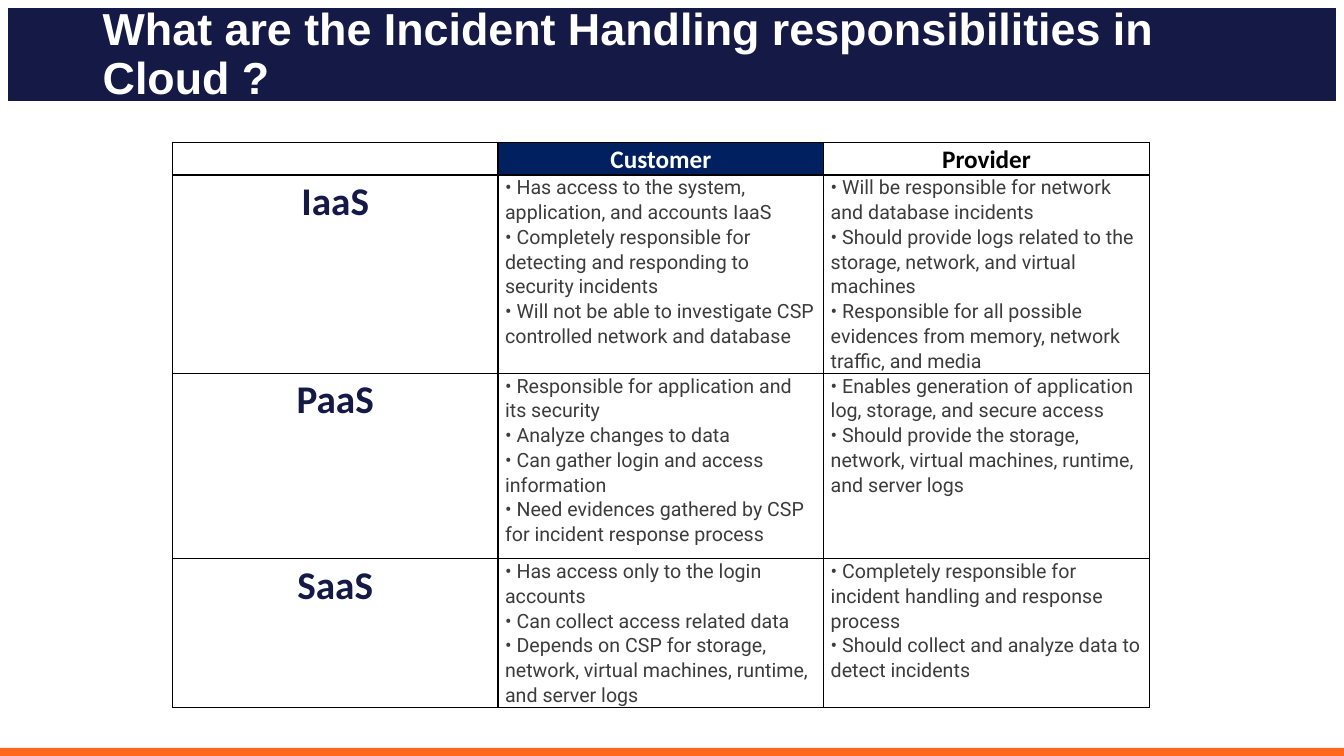
from dataclasses import dataclass

from lxml import etree
from pptx import Presentation
from pptx.dml.color import RGBColor
from pptx.enum.shapes import MSO_SHAPE
from pptx.enum.text import MSO_ANCHOR, PP_ALIGN
from pptx.oxml.ns import qn
from pptx.util import Inches, Pt

RECTANGLE = MSO_SHAPE.RECTANGLE
MIDDLE = MSO_ANCHOR.MIDDLE
LEFT, CENTER = PP_ALIGN.LEFT, PP_ALIGN.CENTER


@dataclass(frozen=True)
class Theme:
    """Colours, fonts and type sizes of the slide."""
    navy: str = "151945"
    header_blue: str = "002060"
    orange: str = "FF671F"
    white: str = "FFFFFF"
    black: str = "000000"
    body_grey: str = "3C3C3C"
    title_font: str = "Arial"
    label_font: str = "Calibri"
    body_font: str = "Roboto"
    title_size: int = 32
    model_size: int = 28
    header_size: int = 18
    body_size: int = 14
    border_width: int = 1


HEADERS = ["", "Customer", "Provider"]
RESPONSIBILITIES = {
    "IaaS": (
        ["Has access to the system, application, and accounts IaaS",
         "Completely responsible for detecting and responding to security incidents",
         "Will not be able to investigate CSP controlled network and database"],
        ["Will be responsible for network and database incidents",
         "Should provide logs related to the storage, network, and virtual machines",
         "Responsible for all possible evidences from memory, network traffic, and media"],
    ),
    "PaaS": (
        ["Responsible for application and its security",
         "Analyze changes to data",
         "Can gather login and access information",
         "Need evidences gathered by CSP for incident response process"],
        ["Enables generation of application log, storage, and secure access",
         "Should provide the storage, network, virtual machines, runtime, and server logs"],
    ),
    "SaaS": (
        ["Has access only to the login accounts",
         "Can collect access related data",
         "Depends on CSP for storage, network, virtual machines, runtime, and server logs"],
        ["Completely responsible for incident handling and response process",
         "Should collect and analyze data to detect incidents"],
    ),
}
COLUMN_WIDTH = 3.23
ROW_HEIGHTS = [0.31, 1.84, 1.84, 1.22]


def write(frame, lines, *, font, size, color, bold=False, align=LEFT, spacing=1.07):
    """Fill a text frame with one formatted paragraph per line."""
    for index, line in enumerate(lines):
        paragraph = frame.paragraphs[0] if index == 0 else frame.add_paragraph()
        paragraph.alignment = align
        paragraph.line_spacing = spacing
        run = paragraph.add_run()
        run.text = line
        run.font.name = font
        run.font.size = Pt(size)
        run.font.bold = bold
        run.font.color.rgb = RGBColor.from_string(color)


class SlideBuilder:
    """Draws styled elements on the current slide."""

    def __init__(self, slide, theme):
        """Keep the slide and its theme."""
        self.slide = slide
        self.theme = theme

    def bar(self, left, top, width, height, color):
        """Draw a plain coloured bar."""
        bar = self.slide.shapes.add_shape(
            RECTANGLE, Inches(left), Inches(top), Inches(width), Inches(height))
        bar.shadow.inherit = False
        bar.fill.solid()
        bar.fill.fore_color.rgb = RGBColor.from_string(color)
        bar.line.fill.background()

    def title(self, text, left, top, width, height):
        """Write the slide title."""
        frame = self.slide.shapes.add_textbox(
            Inches(left), Inches(top), Inches(width), Inches(height)).text_frame
        frame.word_wrap = True
        frame.vertical_anchor = MIDDLE
        frame.margin_right = Inches(0.5)
        write(frame, [text], font=self.theme.title_font, size=self.theme.title_size,
              color=self.theme.white, bold=True, spacing=0.9)

    def cell(self, cell, lines, fill=None, **text_format):
        """Style and fill one table cell."""
        cell.margin_left = cell.margin_right = Inches(0.07)
        cell.margin_top = cell.margin_bottom = 0
        write(cell.text_frame, lines, **text_format)
        properties = cell._tc.get_or_add_tcPr()
        for side in ("a:lnL", "a:lnR", "a:lnT", "a:lnB"):
            border = etree.SubElement(
                properties, qn(side), w=str(Pt(self.theme.border_width)))
            paint = etree.SubElement(border, qn("a:solidFill"))
            etree.SubElement(paint, qn("a:srgbClr"), val=self.theme.black)
        if fill:
            cell.fill.solid()
            cell.fill.fore_color.rgb = RGBColor.from_string(fill)
        else:
            cell.fill.background()

    def responsibility_table(self, left, top):
        """Draw the table of duties by service model."""
        theme = self.theme
        table = self.slide.shapes.add_table(
            len(ROW_HEIGHTS), len(HEADERS), Inches(left), Inches(top),
            Inches(COLUMN_WIDTH * len(HEADERS)), Inches(sum(ROW_HEIGHTS))).table
        table.first_row = table.horz_banding = False
        for column in table.columns:
            column.width = Inches(COLUMN_WIDTH)
        for row, height in zip(table.rows, ROW_HEIGHTS):
            row.height = Inches(height)

        label = {"font": theme.label_font, "bold": True, "align": CENTER}
        fills = [None, theme.header_blue, theme.white]
        colors = [theme.black, theme.white, theme.black]
        for column, (header, fill, color) in enumerate(zip(HEADERS, fills, colors)):
            self.cell(table.cell(0, column), [header], fill,
                      size=theme.header_size, color=color, **label)
        for row, (model, parties) in enumerate(RESPONSIBILITIES.items(), start=1):
            self.cell(table.cell(row, 0), [model],
                      size=theme.model_size, color=theme.navy, **label)
            for column, duties in enumerate(parties, start=1):
                self.cell(table.cell(row, column), [f"• {duty}" for duty in duties],
                          font=theme.body_font, size=theme.body_size,
                          color=theme.body_grey)


def main():
    """Build and save the slide."""
    presentation = Presentation()
    presentation.slide_width = Inches(13.33)
    presentation.slide_height = Inches(7.5)
    theme = Theme()
    slide = presentation.slides.add_slide(presentation.slide_layouts[6])
    builder = SlideBuilder(slide, theme)
    builder.bar(0.08, 0.08, 13.17, 0.92, theme.navy)
    builder.bar(0, 7.42, 13.33, 0.08, theme.orange)
    builder.responsibility_table(1.71, 1.41)
    builder.title("What are the Incident Handling responsibilities in Cloud ?",
                  0.92, -0.02, 12.22, 1.14)
    presentation.save("out.pptx")


if __name__ == "__main__":
    main()
